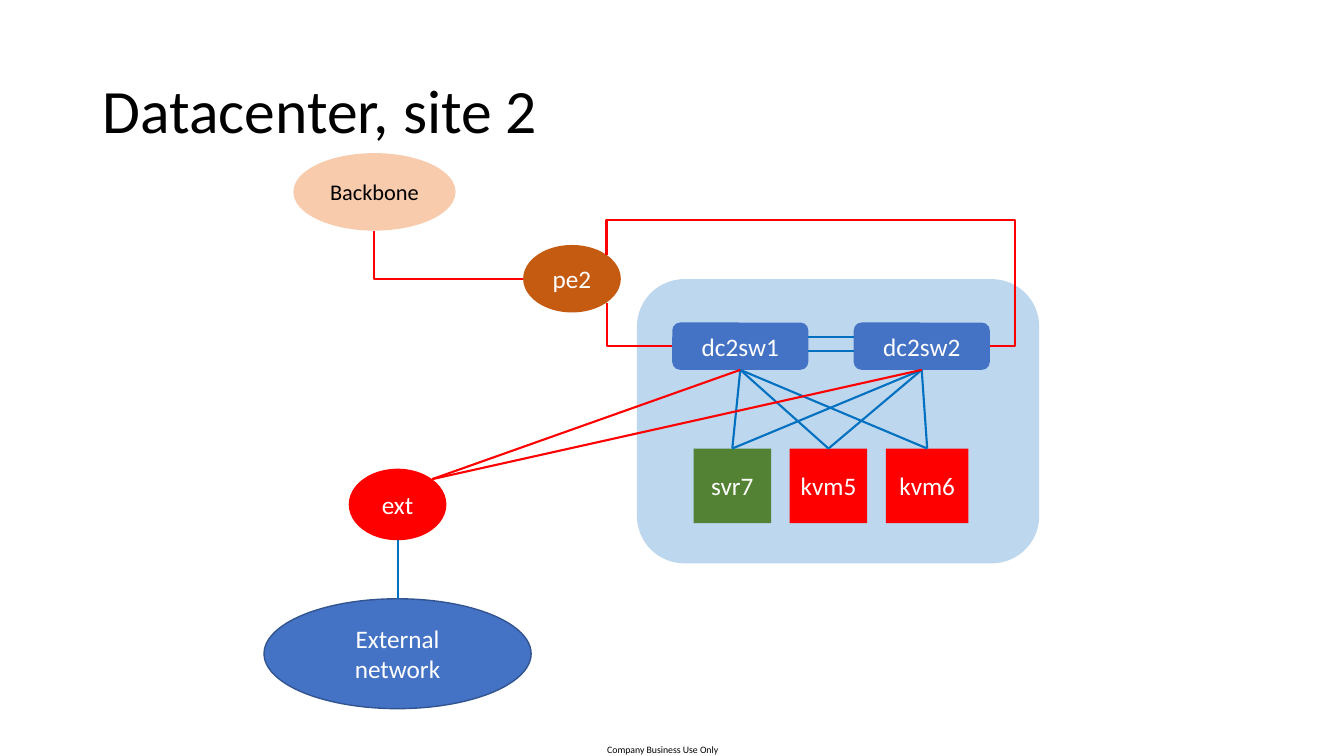
from lxml import etree
from pptx import Presentation
from pptx import util as u
from pptx.dml import color
from pptx.enum import shapes, text
from pptx.oxml import ns

COLORS = {
    "black": "000000", "white": "FFFFFF", "zone": "BDD7EE", "switch": "4472C4",
    "outline": "325491", "cable": "0070C0", "red": "FF0000", "server": "548235",
    "router": "C55A11", "backbone": "F8CBAD",
}
RECT = shapes.MSO_SHAPE.RECTANGLE
ROUND = shapes.MSO_SHAPE.ROUNDED_RECTANGLE
OVAL = shapes.MSO_SHAPE.OVAL
TOP, LEFT, BOTTOM, RIGHT = range(4)


def rgb(name):
    return color.RGBColor.from_string(COLORS[name])


def apply(target, values):
    for name, value in values.items():
        setattr(target, name, value)


def place(shape, box):
    apply(shape, dict(zip(("left", "top", "width", "height"), map(u.Pt, box))))


def write(shape, words, size, ink, frame, **layout):
    apply(shape.text_frame, frame)
    para = shape.text_frame.paragraphs[0]
    apply(para, layout)
    span = para.add_run()
    span.text = words
    apply(span.font, {"name": "Calibri", "size": u.Pt(size)})
    span.font.color.rgb = rgb(ink)


def add_node(page, kind, box, fill, words="", size=18, ink="white", outline=None):
    node = page.shapes.add_shape(kind, *map(u.Pt, box))
    node.shadow.inherit = False
    node.fill.solid()
    node.fill.fore_color.rgb = rgb(fill)
    if outline:
        node.line.color.rgb = rgb(outline)
        node.line.width = u.Pt(1)
    else:
        node.line.fill.background()
    if words:
        frame = {"word_wrap": True, "vertical_anchor": text.MSO_ANCHOR.MIDDLE}
        write(node, words, size, ink, frame, alignment=text.PP_ALIGN.CENTER)
    return node


def spot(node, across, down):
    return node.left + node.width * across, node.top + node.height * down


def side(node, index):
    return spot(node, *((0.5, 0), (0, 0.5), (0.5, 1), (1, 0.5))[index])


def diagonal(oval, down):
    reach = 0.5 ** 1.5
    return spot(oval, 0.5 + reach, 0.5 + down * reach)


def add_line(page, start, end, ink, kind=shapes.MSO_CONNECTOR.STRAIGHT):
    line = page.shapes.add_connector(kind, *map(int, (*start, *end)))
    line.line.color.rgb = rgb(ink)
    line.line.width = u.Pt(1.5)
    etree.SubElement(line._element.spPr, ns.qn("a:effectLst"))
    return line


def add_elbow(page, start, end, preset, bends=()):
    across, down = end[0] - start[0], end[1] - start[1]
    middle_x, middle_y = (start[0] + end[0]) / 2, (start[1] + end[1]) / 2
    line = add_line(page, (middle_x - down / 2, middle_y - across / 2),
                    (middle_x + down / 2, middle_y + across / 2), "red",
                    shapes.MSO_CONNECTOR.ELBOW)
    frame = line._element.spPr.find(ns.qn("a:xfrm"))
    frame.set("rot", "16200000")
    frame.set("flipH", "1")
    geometry = line._element.spPr.find(ns.qn("a:prstGeom"))
    geometry.set("prst", preset)
    guides = geometry.find(ns.qn("a:avLst"))
    for number, bend in enumerate(bends, 1):
        etree.SubElement(guides, ns.qn("a:gd"), name=f"adj{number}",
                         fmla=f"val {round(bend * 100000)}")


def add_title(page, box):
    title = page.shapes.title
    place(title, box)
    frame = {"word_wrap": True, "auto_size": text.MSO_AUTO_SIZE.NONE,
             "vertical_anchor": text.MSO_ANCHOR.MIDDLE}
    write(title, "Datacenter, site 2", 44, "black", frame,
          alignment=text.PP_ALIGN.LEFT, line_spacing=0.9)


def add_footer(page, box):
    footer = page.shapes.add_textbox(*map(u.Pt, box))
    frame = dict.fromkeys(("margin_left", "margin_top", "margin_right", "margin_bottom"), 0)
    frame.update(word_wrap=True, auto_size=text.MSO_AUTO_SIZE.NONE)
    write(footer, "Company Business Use Only", 7, "black", frame,
          alignment=text.PP_ALIGN.CENTER)


def add_fabric(page, box):
    left, top = box[:2]
    add_node(page, ROUND, box, "zone")
    switches = [
        add_node(page, ROUND, (left + 25.2 + 129.6 * i, top + 31, 97.2, 33.8),
                 "switch", f"dc2sw{i + 1}")
        for i in range(2)
    ]
    first, second = switches
    for share in (0.3, 0.6):
        add_line(page, spot(first, 1, share), spot(second, 0, share), "cable")
    servers = (("svr7", "server", 55.4), ("kvm5", "red", 55.4), ("kvm6", "red", 59))
    for i, (words, fill, width) in enumerate(servers):
        server = add_node(page, RECT, (left + 40.4 + 68.7 * i, top + 121, width, 53.3),
                          fill, words)
        for switch in switches:
            cable = add_line(page, side(switch, BOTTOM), side(server, TOP), "cable")
            cable.begin_connect(switch, BOTTOM)
            cable.end_connect(server, TOP)
    return switches


def add_uplink(page, box, switches):
    left, top = box[:2]
    backbone = add_node(page, OVAL, (left, top, 115.9, 55.4), "backbone",
                        "Backbone", 16, "black")
    router = add_node(page, OVAL, (left + 164.2, top + 65.6, 69.8, 48.2), "router", "pe2")
    add_elbow(page, side(backbone, BOTTOM), side(router, LEFT), "bentConnector2")
    add_elbow(page, diagonal(router, 1), side(switches[0], LEFT), "bentConnector2")
    add_elbow(page, diagonal(router, -1), side(switches[1], RIGHT),
              "bentConnector4", (-0.386, 1.066))


def add_external(page, box, switches):
    left, top, width, height = box
    gateway = add_node(page, OVAL, (left + (width - 69.8) / 2, top, 69.8, 51.1), "red", "ext")
    for switch in switches:
        cable = add_line(page, side(switch, BOTTOM), diagonal(gateway, -1), "red")
        cable.begin_connect(switch, BOTTOM)
    network = add_node(page, OVAL, (left, top + height - 78.5, width, 78.5),
                       "switch", "External network", outline="outline")
    add_line(page, side(gateway, BOTTOM), side(network, TOP), "cable")


def main():
    deck = Presentation()
    apply(deck, {"slide_width": u.Pt(960), "slide_height": u.Pt(540)})
    page = deck.slides.add_slide(deck.slide_layouts[5])
    add_title(page, (66, 28.8, 828, 104.4))
    switches = add_fabric(page, (455, 199.4, 287.3, 203))
    add_uplink(page, (209.5, 109.4, 234, 113.8), switches)
    add_external(page, (188.6, 334.8, 190.8, 171.4), switches)
    add_footer(page, (423.4, 531.4, 100, 8.6))
    deck.save("out.pptx")


if __name__ == "__main__":
    main()
